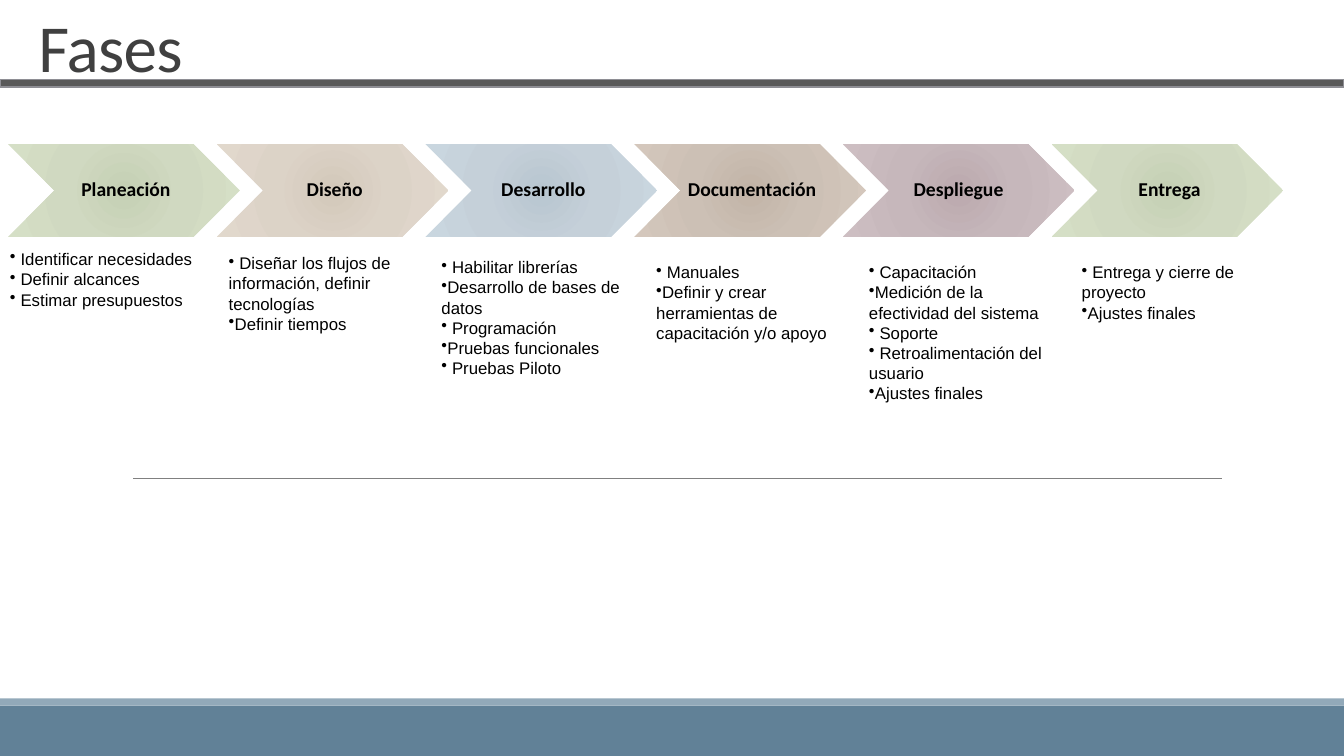
from dataclasses import dataclass

from lxml import etree
from pptx import Presentation
from pptx.dml.color import RGBColor
from pptx.enum.shapes import MSO_CONNECTOR, MSO_SHAPE
from pptx.enum.text import MSO_ANCHOR, MSO_AUTO_SIZE, PP_ALIGN
from pptx.oxml.ns import qn
from pptx.util import Inches, Pt

RECT = MSO_SHAPE.RECTANGLE
CHEVRON = MSO_SHAPE.CHEVRON
STRAIGHT = MSO_CONNECTOR.STRAIGHT
LEFT, CENTER = PP_ALIGN.LEFT, PP_ALIGN.CENTER
TOP, MIDDLE = MSO_ANCHOR.TOP, MSO_ANCHOR.MIDDLE
NO_FIT, GROW = MSO_AUTO_SIZE.NONE, MSO_AUTO_SIZE.SHAPE_TO_FIT_TEXT


@dataclass(frozen=True)
class Theme:
    heading_font: str = "Calibri"
    body_font: str = "Arial"
    title_size: int = 48
    phase_size: int = 14
    list_size: int = 12
    title: str = "404040"
    text: str = "000000"
    title_bar: str = "595959"
    title_bar_line: str = "8E8E94"
    footer: str = "618197"
    footer_edge: str = "92A9B9"
    rule: str = "808080"
    green: tuple = ("C5D0B4", "D0D9C1", "D5DFC6")
    sand: tuple = ("D3C8BA", "DCD3C7", "E1D8CC")
    blue: tuple = ("B8C6D0", "C5D0D9", "C9D6DF")
    brown: tuple = ("C2B4A7", "CCC0B5", "D4C7BC")
    mauve: tuple = ("BBA9AE", "C6B7BB", "CDBEC2")


THEME = Theme()

PHASES = [
    ("Planeación", THEME.green, (0, 2.42, 2.31, 0.91),
     [" Identificar necesidades", " Definir alcances", " Estimar presupuestos"]),
    ("Diseño", THEME.sand, (2.17, 2.46, 2.01, 0.91),
     [" Diseñar los flujos de información, definir tecnologías", "Definir tiempos"]),
    ("Desarrollo", THEME.blue, (4.28, 2.5, 2.01, 1.51),
     [" Habilitar librerías", "Desarrollo de bases de datos", " Programación",
      "Pruebas funcionales", " Pruebas Piloto"]),
    ("Documentación", THEME.brown, (6.41, 2.55, 2.01, 1.11),
     [" Manuales", "Definir y crear herramientas de capacitación y/o apoyo"]),
    ("Despliegue ", THEME.mauve, (8.52, 2.55, 2.01, 1.51),
     [" Capacitación", "Medición de la efectividad del sistema", " Soporte",
      " Retroalimentación del usuario", "Ajustes finales"]),
    ("Entrega", THEME.green, (10.63, 2.55, 2.11, 0.91),
     [" Entrega y cierre de proyecto", "Ajustes finales"]),
]


def inches(*lengths):
    return [Inches(length) for length in lengths]


def write(p, text, *, font, size, color, bold=False, align=LEFT,
          line_spacing=1.0, tracking=None, bullet=None):
    p.alignment = align
    p.line_spacing = line_spacing
    r = p.add_run()
    r.text = text
    r.font.name = font
    r.font.size = Pt(size)
    r.font.bold = bold
    r.font.color.rgb = RGBColor.from_string(color)
    if tracking is not None:
        r.font._element.set("spc", str(int(tracking * 100)))
    if bullet:
        etree.SubElement(p._p.get_or_add_pPr(), qn("a:buChar"), char=bullet)


def fill_radial(sp, colors):
    sp.fill.gradient()
    grad = sp._element.spPr.find(qn("a:gradFill"))
    for child in list(grad):
        grad.remove(child)
    stops = etree.SubElement(grad, qn("a:gsLst"))
    for position, color in zip((0, 45, 100), colors):
        stop = etree.SubElement(stops, qn("a:gs"), pos=str(position * 1000))
        etree.SubElement(stop, qn("a:srgbClr"), val=color)
    circle = etree.SubElement(grad, qn("a:path"), path="circle")
    etree.SubElement(circle, qn("a:fillToRect"), {side: "100000" for side in "ltrb"})


def add_bar(slide, top, height, color, line=None):
    sp = slide.shapes.add_shape(RECT, *inches(0, top, 13.33, height))
    sp.shadow.inherit = False
    sp.fill.solid()
    sp.fill.fore_color.rgb = RGBColor.from_string(color)
    if line:
        sp.line.color.rgb = RGBColor.from_string(line)
        sp.line.width = Pt(1.25)
    else:
        sp.line.fill.background()


def add_rule(slide, left, right, y):
    rule = slide.shapes.add_connector(STRAIGHT, *inches(left, y, right, y))
    rule.line.color.rgb = RGBColor.from_string(THEME.rule)
    rule.line.width = Pt(0.5)
    etree.SubElement(rule._element.spPr, qn("a:effectLst"))


def add_phase(slide, left, name, colors):
    sp = slide.shapes.add_shape(CHEVRON, *inches(left, 1.43, 2.3, 0.92))
    sp.shadow.inherit = False
    fill_radial(sp, colors)
    sp.line.fill.background()
    tf = sp.text_frame
    tf.word_wrap = True
    tf.vertical_anchor = MIDDLE
    tf.margin_left = Inches(0.06)
    tf.margin_top = tf.margin_right = tf.margin_bottom = Inches(0.02)
    write(tf.paragraphs[0], name, font=THEME.heading_font, size=THEME.phase_size,
          color=THEME.text, bold=True, align=CENTER, line_spacing=0.9)


def add_tasks(slide, box, tasks):
    tf = slide.shapes.add_textbox(*inches(*box)).text_frame
    tf.word_wrap = True
    tf.auto_size = GROW
    for i, task in enumerate(tasks):
        p = tf.add_paragraph() if i else tf.paragraphs[0]
        write(p, task, font=THEME.body_font, size=THEME.list_size,
              color=THEME.text, bullet="•")


def set_title(slide, text):
    sp = slide.shapes.title
    sp.left, sp.top, sp.width, sp.height = inches(0.28, 0.13, 9, 0.78)
    tf = sp.text_frame
    tf.word_wrap = True
    tf.auto_size = NO_FIT
    tf.vertical_anchor = TOP
    write(tf.paragraphs[0], text, font=THEME.heading_font, size=THEME.title_size,
          color=THEME.title, line_spacing=0.85, tracking=-0.5)


def main():
    prs = Presentation()
    prs.slide_width, prs.slide_height = inches(13.33, 7.5)
    slide = prs.slides.add_slide(prs.slide_layouts.get_by_name("Title Only"))
    set_title(slide, "Fases")
    add_bar(slide, 7, 0.5, THEME.footer)
    add_bar(slide, 6.93, 0.07, THEME.footer_edge)
    add_rule(slide, 1.32, 12.12, 4.75)
    for i, (name, colors, box, tasks) in enumerate(PHASES):
        add_phase(slide, 0.08 + 2.07 * i, name, colors)
        add_tasks(slide, box, tasks)
    add_bar(slide, 0.79, 0.07, THEME.title_bar, line=THEME.title_bar_line)
    prs.save("out.pptx")


if __name__ == "__main__":
    main()
